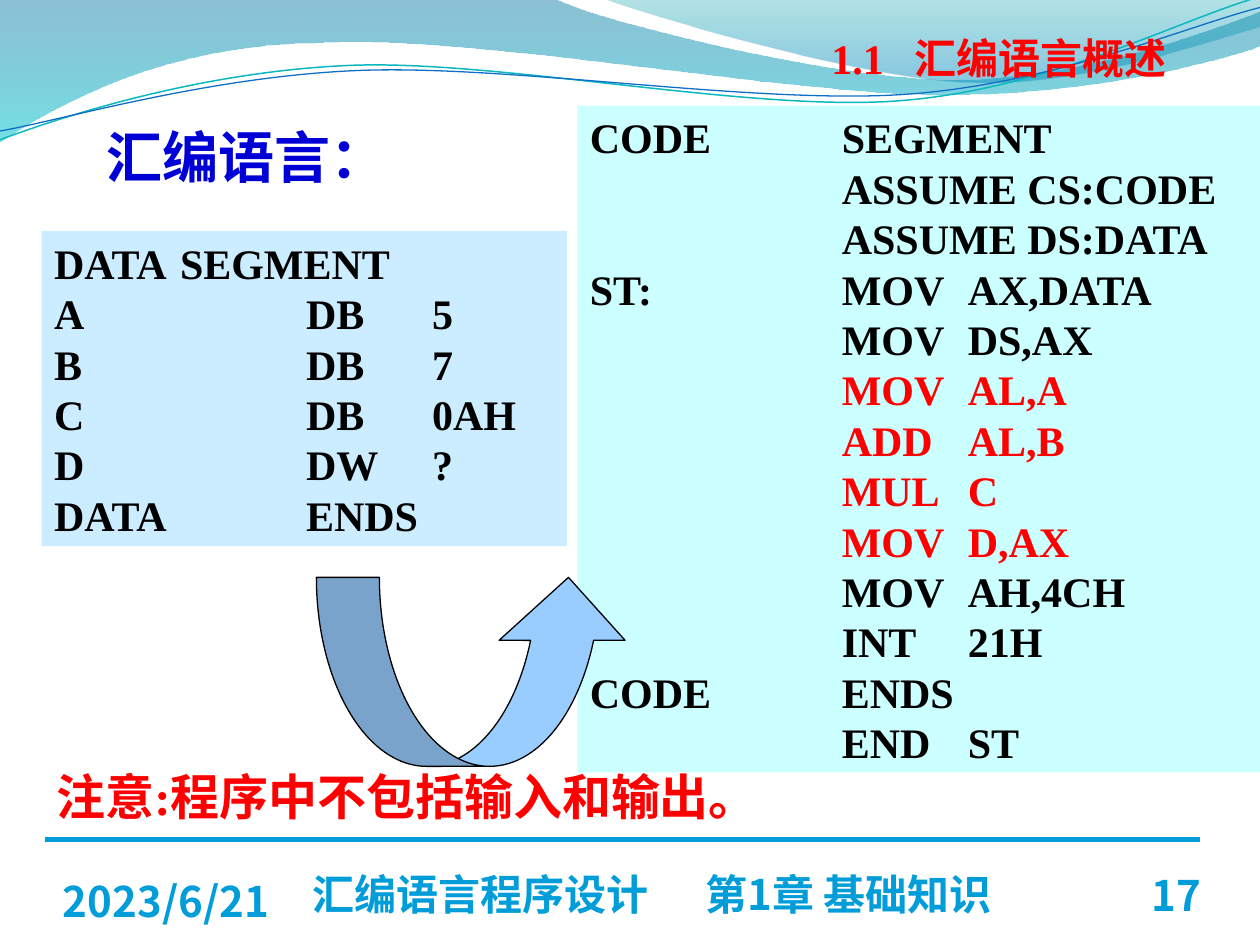
from dataclasses import dataclass
from math import cos, radians, sin

from lxml.etree import SubElement
from pptx import Presentation
from pptx.dml.color import RGBColor
from pptx.enum.shapes import MSO_CONNECTOR, MSO_SHAPE
from pptx.enum.text import MSO_ANCHOR, MSO_AUTO_SIZE, PP_ALIGN
from pptx.oxml.ns import qn
from pptx.util import Cm, Pt

COLORS = {
    "black": "000000", "red": "FF0000", "blue": "0000D6", "footer": "009DD9",
    "data": "CCECFF", "code": "CCFFFF", "arrow": "99CCFF",
    "teal": "0AB8BF", "navy": "0F6FC6",
    "deep": "0074A1", "aqua": "00C6CF", "sea": "00A1A9", "sky": "008BBF",
}
SERIF, SANS = "Times New Roman", "Noto Sans CJK JP"
UNITS = 1000
CODE_TABS = (2.54, 5.08, 7.62)


@dataclass
class Area:
    left: float
    top: float
    width: float
    height: float

    def lengths(self) -> tuple:
        return Cm(self.left), Cm(self.top), Cm(self.width), Cm(self.height)


@dataclass
class Label:
    text: str
    area: Area
    color: str
    size: int = 24
    font: str = SERIF
    align: PP_ALIGN = PP_ALIGN.LEFT
    tabs: tuple = ()
    footer: bool = False


@dataclass
class Listing:
    lines: list
    area: Area
    fill: str
    align: PP_ALIGN
    red_lines: range = range(0)


@dataclass
class Stop:
    position: float
    color: str
    opacity: int


@dataclass
class Wave:
    segments: list
    stops: tuple = ()
    line: str = ""
    width: float = 0
    rotation: float = 0
    center: tuple = (0, 0)


WAVES = [
    Wave([(0, -0.01), (4.4, -0.01), (4.76, 0.17, 6.64, 0.63, 7.58, 0.63),
          (8.53, 0.63, 9.58, 0.26, 10, 0.09), (10.01, 0.36),
          (9.83, 0.44, 8.7, 0.76, 7.46, 0.75), (6.22, 0.75, 3.82, 0.28, 2.57, 0.34),
          (1.29, 0.35, 0.46, 0.83, -0.01, 1.13), (0, -0.01)],
         stops=(Stop(0, "deep", 45), Stop(1, "aqua", 55))),
    Wave([(4.79, -0.01), (5.09, 0.11, 6.82, 0.62, 7.69, 0.65),
          (8.56, 0.69, 9.61, 0.32, 10, 0.21), (10, 0), (4.79, -0.01)],
         stops=(Stop(0, "sea", 30), Stop(0.8, "sky", 45))),
    Wave([(0, 1.11), (0.48, 0.93, 1.58, 0.57, 2.77, 0.52),
          (3.95, 0.47, 5.93, 0.89, 7.13, 0.8), (8.33, 0.71, 9.38, 0.15, 9.98, -0.02)],
         line="teal", width=0.85, rotation=-2.7, center=(4.99, 0.57)),
    Wave([(0, 1.04), (0.47, 0.96, 1.64, 0.61, 2.83, 0.56),
          (4.03, 0.51, 5.97, 0.83, 7.17, 0.75), (8.36, 0.67, 9.41, 0.21, 10, 0.06)],
         line="navy", width=0.75, rotation=-2.7, center=(5, 0.59)),
]

TITLE = Label("汇编语言：", Area(1.9, 2.34, 7.19, 1.6), "blue", 32)
LABELS = [
    Label("注意:程序中不包括输入和输出。", Area(0.89, 15.32, 20.95, 1.45), "red", 28),
    Label("1.1\t汇编语言概述", Area(16.51, 0.53, 8, 1.27), "red", tabs=(1.68,)),
    Label("2023/6/21", Area(1.27, 17.65, 5.92, 1.02), "footer", font=SANS, footer=True),
    Label("17", Area(22.1, 17.53, 2.11, 1.02), "footer", font=SANS,
          align=PP_ALIGN.RIGHT, footer=True),
    Label("汇编语言程序设计\t第1章 基础知识", Area(6.3, 17.53, 14.81, 0.99), "footer",
          font=SANS, tabs=(7.92,), footer=True),
]
LISTINGS = [
    Listing(["DATA \tSEGMENT", "A\t\tDB\t5", "B\t\tDB\t7", "C\t\tDB\t0AH",
             "D\t\tDW\t?", "DATA\t\tENDS"],
            Area(0.84, 4.66, 10.59, 6.35), "data", PP_ALIGN.JUSTIFY),
    Listing(["CODE\t\tSEGMENT", "\t\tASSUME CS:CODE", "\t\tASSUME DS:DATA",
             "ST:\t\tMOV\tAX,DATA", "\t\tMOV\tDS,AX", "\t\tMOV\tAL,A",
             "\t\tADD\tAL,B", "\t\tMUL\tC", "\t\tMOV\tD,AX", "\t\tMOV\tAH,4CH",
             "\t\tINT\t21H", "CODE\t\tENDS", "\t\tEND\tST"],
            Area(11.64, 2.13, 13.76, 13.44), "code", PP_ALIGN.LEFT, range(5, 9)),
]


def rgb(name: str) -> RGBColor:
    return RGBColor.from_string(COLORS[name])


def format_paragraph(paragraph, color: str, size: int, font: str, align: PP_ALIGN,
                     tabs: tuple) -> None:
    paragraph.alignment = align
    if tabs:
        tab_list = SubElement(paragraph._p.get_or_add_pPr(), qn("a:tabLst"))
        for position in tabs:
            SubElement(tab_list, qn("a:tab"), pos=str(Cm(position)), algn="l")
    for span in paragraph.runs:
        span.font.name, span.font.size, span.font.bold = font, Pt(size), True
        span.font.color.rgb = rgb(color)
        SubElement(span._r.get_or_add_rPr(), qn("a:ea"), typeface=SANS)


def write_label(box, label: Label) -> None:
    frame = box.text_frame
    frame.text = label.text
    frame.word_wrap = True
    frame.auto_size = MSO_AUTO_SIZE.NONE
    frame.vertical_anchor = MSO_ANCHOR.BOTTOM if label.footer else MSO_ANCHOR.TOP
    if label.footer:
        frame.margin_left = frame.margin_right = frame.margin_top = frame.margin_bottom = 0
    format_paragraph(frame.paragraphs[0], label.color, label.size, label.font,
                     label.align, label.tabs)


def draw_listing(page, listing: Listing) -> None:
    box = page.shapes.add_shape(MSO_SHAPE.RECTANGLE, *listing.area.lengths())
    box.shadow.inherit = False
    box.fill.solid()
    box.fill.fore_color.rgb = rgb(listing.fill)
    box.line.fill.background()
    frame = box.text_frame
    frame.text = "\n".join(listing.lines)
    frame.word_wrap = True
    frame.vertical_anchor = MSO_ANCHOR.TOP
    for index, paragraph in enumerate(frame.paragraphs):
        color = "red" if index in listing.red_lines else "black"
        format_paragraph(paragraph, color, 24, SERIF, listing.align, CODE_TABS)
        paragraph.line_spacing = Pt(28.8)


def level_points(wave: Wave) -> list:
    angle = radians(-wave.rotation)
    middle_x, middle_y = wave.center
    points = []
    for segment in wave.segments:
        for x, y in zip(segment[::2], segment[1::2]):
            across, down = x - middle_x, y - middle_y
            points.append(((middle_x + across * cos(angle) - down * sin(angle)) * UNITS,
                           (middle_y + across * sin(angle) + down * cos(angle)) * UNITS))
    return points


def bend_segments(shape, segments: list) -> None:
    outline = next(shape._element.iter(qn("a:path")))
    lines = iter(outline.findall(qn("a:lnTo")))
    for segment in segments:
        curve = next(lines)
        if len(segment) == 6:
            curve.tag = qn("a:cubicBezTo")
            for line in (next(lines), next(lines)):
                curve.append(line[0])
                outline.remove(line)


def draw_wave(page, wave: Wave) -> None:
    start, *rest = level_points(wave)
    builder = page.shapes.build_freeform(*start, scale=Cm(2.54) / UNITS)
    builder.add_line_segments(rest, close=bool(wave.stops))
    shape = builder.convert_to_shape()
    bend_segments(shape, wave.segments[1:])
    shape.rotation = wave.rotation
    shape.shadow.inherit = False
    if wave.stops:
        shape.line.fill.background()
        shape.fill.gradient()
        shape.fill.gradient_angle = 270
        for target, stop in zip(shape.fill.gradient_stops, wave.stops):
            target.position = stop.position
            target.color.rgb = rgb(stop.color)
        for element, stop in zip(shape._element.spPr.iter(qn("a:srgbClr")), wave.stops):
            SubElement(element, qn("a:alpha"), val=str(stop.opacity * 1000))
    else:
        shape.fill.background()
        shape.line.color.rgb = rgb(wave.line)
        shape.line.width = Pt(wave.width)


def draw_arrow(page, area: Area) -> None:
    arrow = page.shapes.add_shape(MSO_SHAPE.CURVED_UP_ARROW, *area.lengths())
    arrow.shadow.inherit = False
    for index, value in enumerate((1 / 3, 2 / 3, 1 / 3)):
        arrow.adjustments[index] = value
    arrow.fill.solid()
    arrow.fill.fore_color.rgb = rgb("arrow")
    arrow.line.color.rgb = rgb("black")
    arrow.line.width = Pt(0.75)


def draw_rule(page, left: float, right: float, top: float) -> None:
    rule = page.shapes.add_connector(MSO_CONNECTOR.STRAIGHT, Cm(left), Cm(top),
                                     Cm(right), Cm(top))
    rule.line.color.rgb = rgb("footer")
    rule.line.width = Pt(3)
    SubElement(rule._element.spPr, qn("a:effectLst"))


def main() -> None:
    deck = Presentation()
    deck.slide_width, deck.slide_height = Cm(25.4), Cm(19.05)
    page = deck.slides.add_slide(deck.slide_layouts[5])
    title = page.shapes.title
    for wave in WAVES:
        draw_wave(page, wave)
    draw_rule(page, 0.9, 24.19, 16.92)
    title._element.getparent().append(title._element)
    title.left, title.top, title.width, title.height = TITLE.area.lengths()
    write_label(title, TITLE)
    for listing in LISTINGS:
        draw_listing(page, listing)
    draw_arrow(page, Area(6.38, 11.64, 6.35, 3.81))
    for label in LABELS:
        write_label(page.shapes.add_textbox(*label.area.lengths()), label)
    deck.save("out.pptx")


if __name__ == "__main__":
    main()
